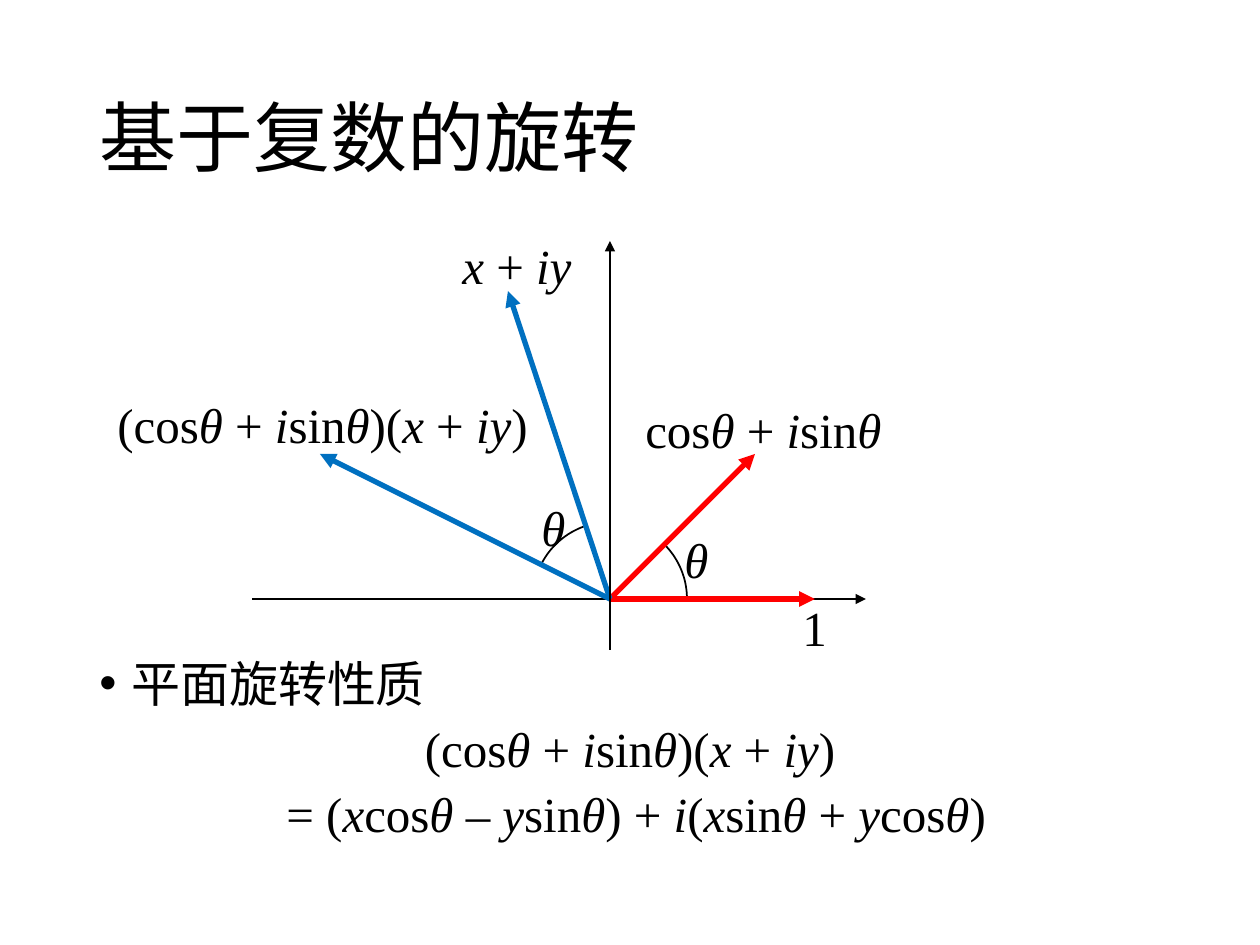
from math import cos, radians, sin
from lxml.etree import SubElement
from pptx import Presentation
from pptx.dml.color import RGBColor
from pptx.enum.shapes import MSO_CONNECTOR as Link
from pptx.enum.text import MSO_ANCHOR as Anchor, MSO_AUTO_SIZE as Fit, PP_ALIGN as Align
from pptx.oxml.ns import qn
from pptx.util import Pt

UNIT = 914400 / 126
BLACK, RED, BLUE = "000000", "FF0000", "0070C0"
LATIN, HAN = "Times New Roman", "Noto Sans CJK SC"
UNIT_ROT = "cos*θ* + *i*sin*θ*"
POINT = "*x* + *iy*"
PRODUCT = f"({UNIT_ROT})({POINT})"
RESULT = " = (*x*cos*θ* – *y*sin*θ*) + *i*(*x*sin*θ* + *y*cos*θ*)"


def px(num):
    return round(num * UNIT)


def paint(color, hue):
    color.rgb = RGBColor.from_string(hue)


def style(item, looks):
    for key, value in looks.items():
        setattr(item, key, value)


def write(para, text, size=28, face=LATIN):
    for k, part in enumerate(text.split("*")):
        if part:
            run = para.add_run()
            run.text = part
            style(run.font, {"size": Pt(size), "name": face, "italic": k % 2 == 1})
            paint(run.font.color, BLACK)
            SubElement(run.font._element, qn("a:ea"), typeface=HAN)


def add_box(slide, box, looks):
    frame = slide.shapes.add_textbox(*map(px, box)).text_frame
    style(frame, looks)
    return frame


def add_title(slide, box, text):
    frame = add_box(slide, box, {"word_wrap": True, "vertical_anchor": Anchor.MIDDLE})
    para = frame.paragraphs[0]
    para.line_spacing = 0.9
    write(para, text, 44, HAN)


def add_body(slide, box, head, lines):
    frame = add_box(slide, box, {"word_wrap": True})
    for k, text in enumerate([head, *lines]):
        para = frame.add_paragraph() if k else frame.paragraphs[0]
        style(para, {"line_spacing": 0.8, "space_before": Pt(10),
                     "alignment": Align.CENTER if k else Align.LEFT})
        write(para, text)
    props = frame.paragraphs[0]._p.get_or_add_pPr()
    props.set("marL", str(px(32)))
    props.set("indent", str(-px(32)))
    SubElement(props, qn("a:buFont"), typeface="Arial")
    SubElement(props, qn("a:buChar"), char="•")


def add_arrow(slide, start, end, hue, width):
    arrow = slide.shapes.add_connector(Link.STRAIGHT, *map(px, (*start, *end)))
    arrow.line.width = Pt(width)
    paint(arrow.line.color, hue)
    SubElement(arrow.line._get_or_add_ln(), qn("a:tailEnd"), type="triangle")
    SubElement(arrow._element.spPr, qn("a:effectLst"))


def add_arc(slide, mid, radius, first, last):
    steps = 24
    turns = [radians(first + (last - first) * k / steps) for k in range(steps + 1)]
    dots = [(px(mid[0] + radius * cos(t)), px(mid[1] - radius * sin(t))) for t in turns]
    pen = slide.shapes.build_freeform(*dots[0])
    pen.add_line_segments(dots[1:], close=False)
    arc = pen.convert_to_shape()
    arc.shadow.inherit = False
    arc.fill.background()
    arc.line.width = Pt(1)
    paint(arc.line.color, BLACK)


def add_plane(slide, box):
    left, top, wide, high = box

    def at(x, y):
        return left + x, top + y

    mid = at(505, 370)
    add_arrow(slide, at(147, 370), at(761, 370), BLACK, 1)
    for first, last in ((0, 45), (108, 153.5)):
        add_arc(slide, mid, 77, first, last)
    for x, y, hue in ((650, 225, RED), (710, 370, RED), (403, 62, BLUE), (215, 225, BLUE)):
        add_arrow(slide, mid, at(x, y), hue, 3)
    add_arrow(slide, at(505, 421), at(505, 12), BLACK, 1)
    labels = [(567, 294, 49, "*θ*"), (424, 262, 49, "*θ*"), (528, 164, 263, UNIT_ROT),
              (345, 0, 135, POINT), (0, 159, 440, PRODUCT), (685, 362, 50, "1")]
    for x, y, span, text in labels:
        frame = add_box(slide, (*at(x, y), span, 72),
                        {"word_wrap": False, "auto_size": Fit.SHAPE_TO_FIT_TEXT})
        write(frame.paragraphs[0], text)


def main():
    deck = Presentation()
    style(deck, {"slide_width": px(1260), "slide_height": px(945)})
    slide = deck.slides.add_slide(deck.slide_layouts[6])
    add_title(slide, (87, 50, 1086, 183), "基于复数的旋转")
    add_body(slide, (87, 659, 1086, 193), "平面旋转性质", [PRODUCT, RESULT])
    add_plane(slide, (105, 229, 791, 434))
    deck.save("out.pptx")


if __name__ == "__main__":
    main()
